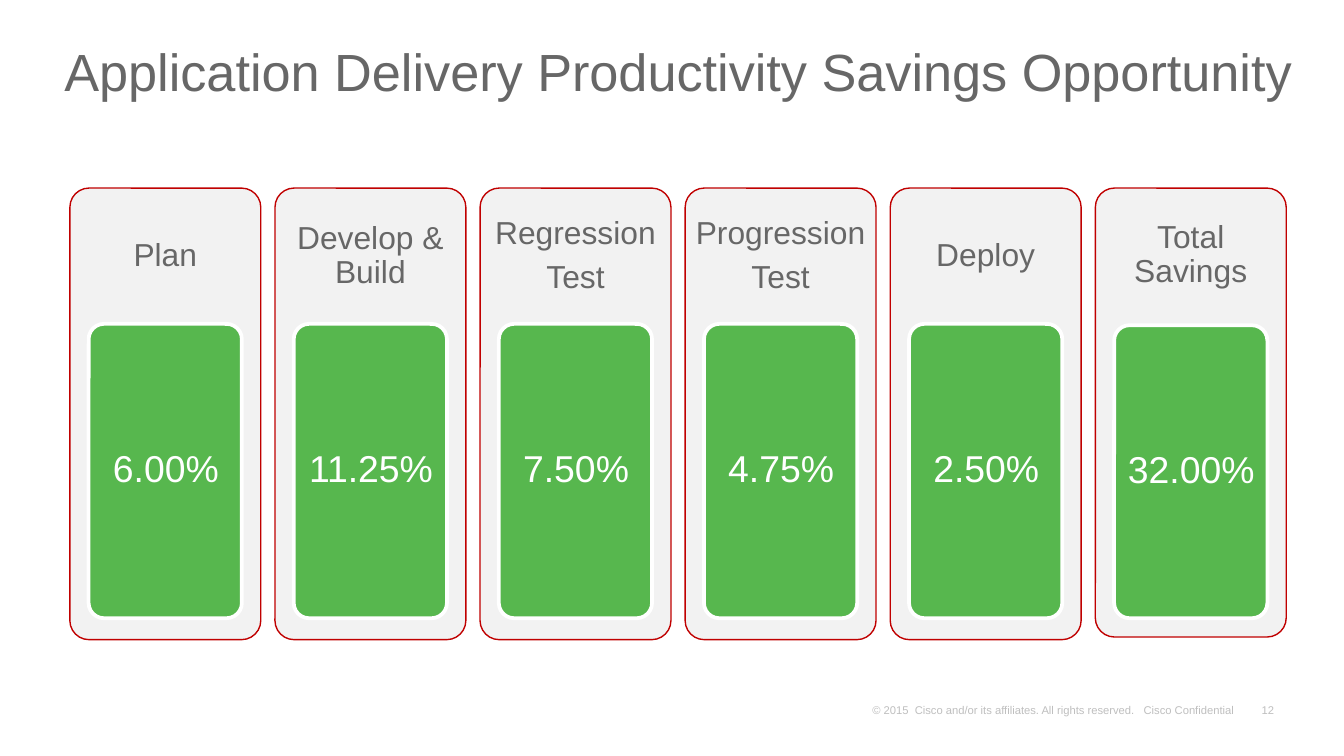
from pptx import Presentation
from pptx.dml.color import RGBColor
from pptx.enum.shapes import MSO_SHAPE as Shape
from pptx.enum.text import MSO_ANCHOR as Anchor, PP_ALIGN as Align
from pptx.util import Inches, Pt

rgb = RGBColor.from_string


def add_text(box, text, size, color, pad, align=Align.LEFT,
             anchor=Anchor.MIDDLE, lead=1.0, wrap=True):
    label = slide.shapes.add_textbox(*map(Inches, box))
    frame = label.text_frame
    frame.text = text
    frame.word_wrap = wrap
    frame.vertical_anchor = anchor
    frame.margin_left = frame.margin_right = Inches(pad[0])
    frame.margin_top = frame.margin_bottom = Inches(pad[1])
    for para in frame.paragraphs:
        para.alignment = align
        para.line_spacing = lead
        for run in para.runs:
            run.font.name = "Arial"
            run.font.size = Pt(size)
            run.font.color.rgb = rgb(color)
    for para in frame.paragraphs[:-1]:
        para.space_after = Pt(5.5)


def add_card(box, fill, line, width):
    card = slide.shapes.add_shape(Shape.ROUNDED_RECTANGLE, *map(Inches, box))
    card.adjustments[0] = 0.1
    card.shadow.inherit = False
    card.fill.solid()
    card.fill.fore_color.rgb = rgb(fill)
    card.line.color.rgb = rgb(line)
    card.line.width = Pt(width)


# Widescreen slide, 16 to 9
deck = Presentation()
deck.slide_width = Inches(10)
deck.slide_height = Inches(10 * 9 / 16)
slide = deck.slides.add_slide(deck.slide_layouts[6])

# Footer
add_text((9.31, 5.19, 0.24, 0.17), "12", 6, "BFBFBF", (0.07, 0.03),
         Align.RIGHT, Anchor.BOTTOM, wrap=False)
add_text((6.42, 5.19, 2.91, 0.17),
         "© 2015  Cisco and/or its affiliates. All rights reserved.   Cisco Confidential",
         6, "BFBFBF", (0.07, 0.03), anchor=Anchor.BOTTOM)

# One column per delivery phase, then the total
phases = [
    ("Plan", "6.00%"),
    ("Develop & Build", "11.25%"),
    ("Regression\nTest", "7.50%"),
    ("Progression\nTest", "4.75%"),
    ("Deploy", "2.50%"),
    ("Total Savings", "32.00%"),
]
first, last = 0.52, 8.15
step = (last - first) / (len(phases) - 1)
for i, (phase, saving) in enumerate(phases):
    left = first + i * step
    total = i == len(phases) - 1
    high = 3.34 if total else 3.36
    top = 2.42 if total else 2.41
    tall = 2.18 if total else 2.19
    add_card((left, 1.4, 1.42, high), "F2F2F2", "C00000", 0.75)
    add_text((left, 1.4, 1.42, 1.0 if total else 1.01), phase, 17, "676767",
             (0.07, 0.07), Align.CENTER, lead=0.9)
    add_card((left + 0.14, top, 1.14, tall), "57B74E", "FFFFFF", 2)
    add_text((left + 0.18, top + 0.03, 1.07, 2.12), saving, 20, "FFFFFF",
             (0.06, 0.04), Align.CENTER, lead=0.9)

# Title
add_text((0.38, 0.17, 9.45, 0.8),
         "Application Delivery Productivity Savings Opportunity",
         28, "676767", (0.1, 0.05), lead=0.8)

deck.save("out.pptx")
